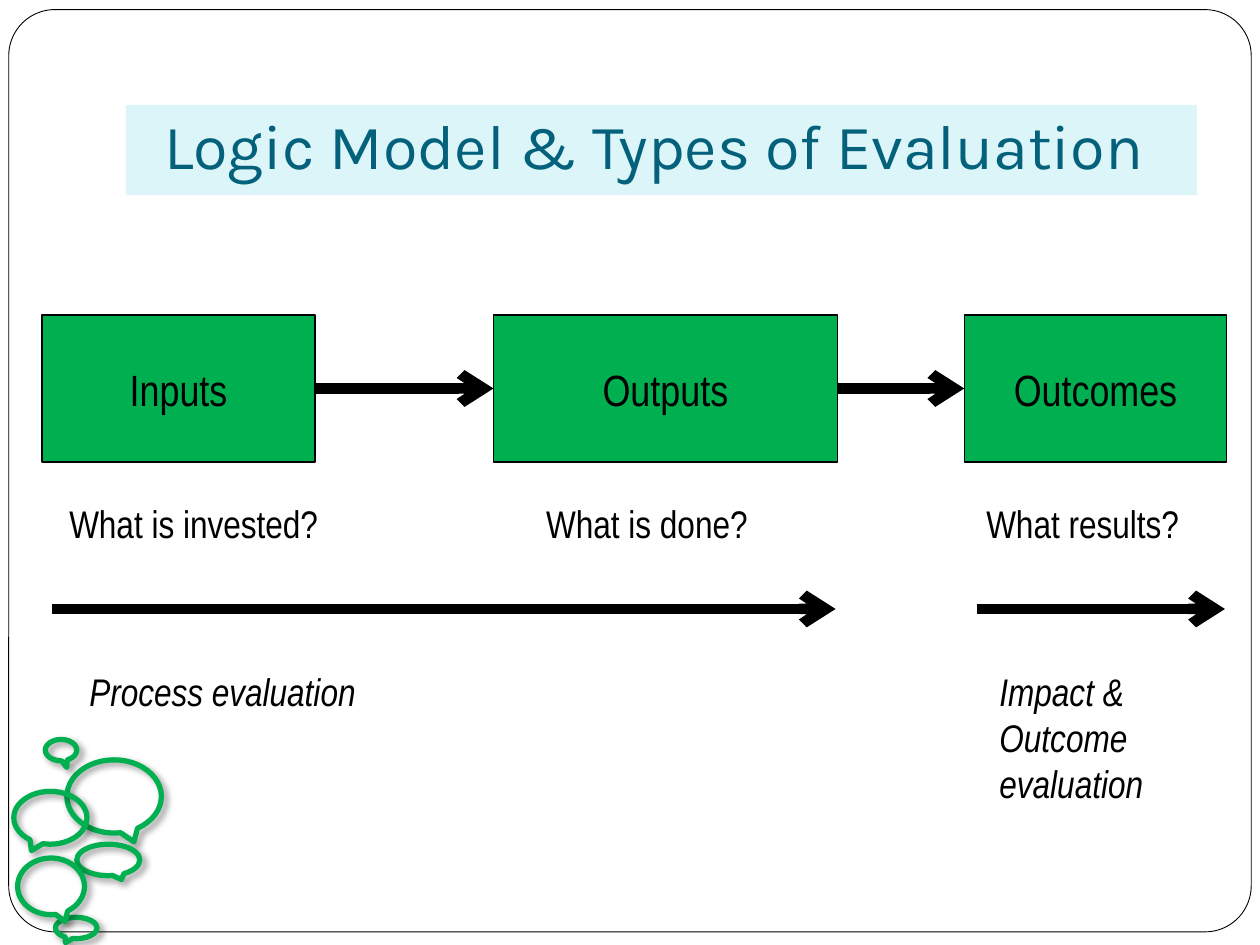
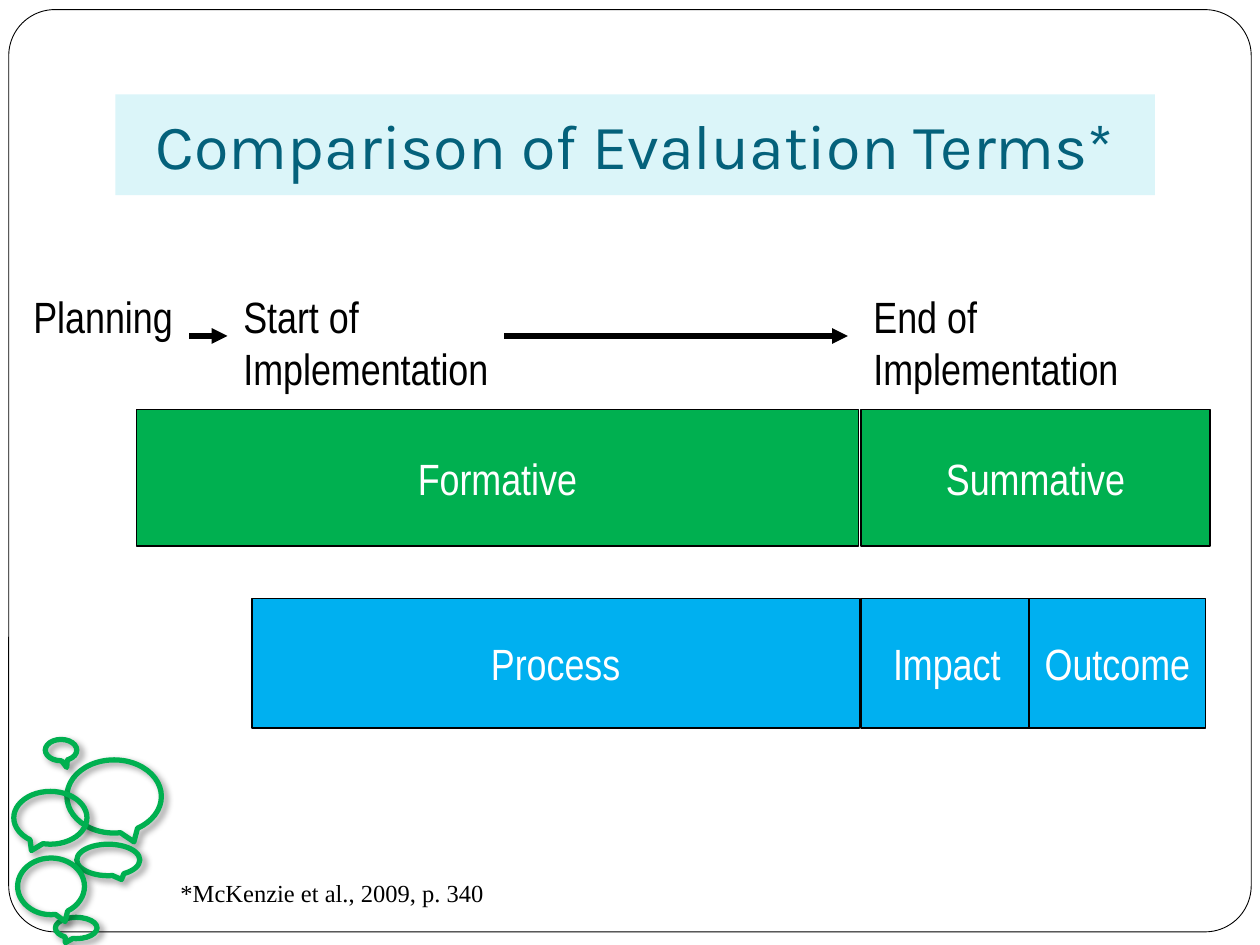
from dataclasses import dataclass

from lxml import etree
from pptx import Presentation
from pptx.dml.color import RGBColor
from pptx.enum.shapes import MSO_CONNECTOR, MSO_SHAPE
from pptx.enum.text import MSO_ANCHOR, PP_ALIGN
from pptx.oxml import parse_xml
from pptx.oxml.ns import nsdecls, qn
from pptx.util import Pt

RECT, ROUNDED = MSO_SHAPE.RECTANGLE, MSO_SHAPE.ROUNDED_RECTANGLE
CALLOUT, STRAIGHT = MSO_SHAPE.OVAL_CALLOUT, MSO_CONNECTOR.STRAIGHT
TOP, MIDDLE, BOTTOM = MSO_ANCHOR.TOP, MSO_ANCHOR.MIDDLE, MSO_ANCHOR.BOTTOM
LEFT, CENTER = PP_ALIGN.LEFT, PP_ALIGN.CENTER


@dataclass(frozen=True)
class Theme:
    black: RGBColor = RGBColor(0x00, 0x00, 0x00)
    white: RGBColor = RGBColor(0xFF, 0xFF, 0xFF)
    green: RGBColor = RGBColor(0x00, 0xB0, 0x50)
    blue: RGBColor = RGBColor(0x00, 0xB0, 0xF0)
    band: RGBColor = RGBColor(0xDB, 0xF5, 0xF9)
    title: RGBColor = RGBColor(0x04, 0x61, 0x7B)
    title_font: str = "Karla"
    body_font: str = "Arial Narrow"
    note_font: str = "Times New Roman"
    title_size: int = 36
    label_size: int = 25
    text_size: int = 22
    note_size: int = 14


T = Theme()
SHADOW = (
    f'<a:outerShdw {nsdecls("a")} blurRad="{Pt(4)}" dist="{Pt(3)}" dir="2700000" rotWithShape="0">'
    '<a:srgbClr val="000000"><a:alpha val="40000"/></a:srgbClr></a:outerShdw>'
)


def add_text(s, text, at, fill=None, line=None, size=T.label_size, font=T.body_font, color=T.black,
             italic=False, align=LEFT, anchor=TOP, wrap=True, bottom=3.6):
    """Write text in a plain box, or in a rectangle if a fill is given."""
    at = [Pt(v) for v in at]
    if fill is None:
        sp = s.shapes.add_textbox(*at)
    else:
        sp = s.shapes.add_shape(RECT, *at)
        sp.shadow.inherit = False
        sp.fill.solid()
        sp.fill.fore_color.rgb = fill
        if line is None:
            sp.line.fill.background()
        else:
            sp.line.color.rgb = line
            sp.line.width = Pt(0.75)
    tf = sp.text_frame
    tf.word_wrap = wrap
    tf.vertical_anchor = anchor
    tf.margin_left = tf.margin_right = Pt(7.2)
    tf.margin_top, tf.margin_bottom = Pt(3.6), Pt(bottom)
    for i, words in enumerate(text.split("\n")):
        p = tf.paragraphs[0] if i == 0 else tf.add_paragraph()
        p.alignment = align
        r = p.add_run()
        r.text = words
        r.font.size, r.font.name = Pt(size), font
        r.font.color.rgb, r.font.italic = color, italic
    return sp


def add_arrow(s, x1, y1, x2, y2, width, head):
    c = s.shapes.add_connector(STRAIGHT, Pt(x1), Pt(y1), Pt(x2), Pt(y2))
    c.line.color.rgb = T.black
    c.line.width = Pt(width)
    spPr = c._element.spPr
    etree.SubElement(spPr.find(qn("a:ln")), qn("a:tailEnd"), type=head)
    etree.SubElement(spPr, qn("a:effectLst"))
    return c


prs = Presentation()
prs.slide_width, prs.slide_height = Pt(720), Pt(540)

# Shared frame, speech bubbles and title band
titles = [
    ("Logic Model & Types of Evaluation ", (72, 60, 612, 51.5)),
    ("Comparison of Evaluation Terms*", (66, 54, 594, 57.5)),
]
bubbles = [  # left, top, width, height, tail x, tail y
    (38.2, 434.2, 54, 41.8, 0.21, 0.62),
    (43.9, 482.4, 36, 18, 0.21, 0.62),
    (7.9, 452.2, 41.8, 30.2, -0.26, 0.62),
    (31.7, 524.2, 23.8, 12.2, -0.26, 0.69),
    (10.1, 490.3, 38.2, 32.4, 0.21, 0.62),
    (25.9, 422.6, 18, 12.2, 0.18, 0.81),
]
slides = []
for title, title_at in titles:
    s = prs.slides.add_slide(prs.slide_layouts[6])
    slides.append(s)
    frame = s.shapes.add_shape(ROUNDED, Pt(5), Pt(5.5), Pt(710), Pt(527))
    frame.adjustments[0] = 0.05
    frame.shadow.inherit = False
    frame.fill.solid()
    frame.fill.fore_color.rgb = T.white
    frame.line.color.rgb = T.black
    frame.line.width = Pt(0.5)

    group = s.shapes.add_group_shape()
    for *at, tail_x, tail_y in bubbles:
        sp = group.shapes.add_shape(CALLOUT, *[Pt(v) for v in at])
        sp.adjustments[0], sp.adjustments[1] = tail_x, tail_y
        sp.fill.background()
        sp.line.color.rgb = T.green
        sp.line.width = Pt(3)
        sp.shadow.inherit = False
        sp._element.spPr.find(qn("a:effectLst")).append(parse_xml(SHADOW))

    add_text(s, title, title_at, fill=T.band, size=T.title_size, font=T.title_font,
             color=T.title, align=CENTER, anchor=BOTTOM, bottom=7.2)

model, terms = slides

# Logic model: stages, joined left to right
stages = []
for name, x, w in [("Inputs", 24, 156), ("Outputs", 282, 196.5), ("Outcomes", 551, 150)]:
    stages.append(add_text(model, name, (x, 180, w, 84), fill=T.green, line=T.black,
                           align=CENTER, anchor=MIDDLE, wrap=False))
for before, after in zip(stages, stages[1:]):
    c = add_arrow(model, 0, 0, 0, 0, 6, "arrow")
    c.begin_connect(before, 3)
    c.end_connect(after, 1)

# Logic model: questions under the stages
for question, x, w in [("What is invested?", 32.5, 174), ("What is done?", 305, 168.5),
                       ("What results?", 556.5, 147.5)]:
    add_text(model, question, (x, 282, w, 34), size=T.text_size)

# Logic model: evaluation types and the span of each
for x1, x2 in [(30, 477.5), (558, 700)]:
    add_arrow(model, x1, 348, x2, 348, 6, "arrow")
for kind, x, w, h in [("Process evaluation", 44, 360, 34),
                      ("Impact & Outcome evaluation", 564, 140, 87)]:
    add_text(model, kind, (x, 378, w, h), size=T.text_size, italic=True)

# Terms: timeline
for stage, x, w in [("Planning", 12, 114.5), ("Start of\nImplementation", 132, 163.5),
                    ("End of\nImplementation", 492, 192)]:
    add_text(terms, stage, (x, 162, w, 67.5))
for x1, x2 in [(108, 130), (288, 484.5)]:
    add_arrow(terms, x1, 192, x2, 192, 3, "triangle")

# Terms: one row of bars for each way of naming
rows = [
    (T.blue, 342, 74, [("Process", 144, 347), ("Impact", 492, 98), ("Outcome", 588, 101)]),
    (T.green, 234, 78, [("Formative", 78, 412.5), ("Summative", 492, 199.5)]),
]
for fill, y, h, bars in rows:
    for name, x, w in bars:
        add_text(terms, name, (x, y, w, h), fill=fill, line=T.black, color=T.white,
                 align=CENTER, anchor=MIDDLE, wrap=False)

# Terms: reference
add_text(terms, "*McKenzie et al., 2009, p. 340", (96, 498, 240, 24.5),
         size=T.note_size, font=T.note_font)

prs.save("out.pptx")
